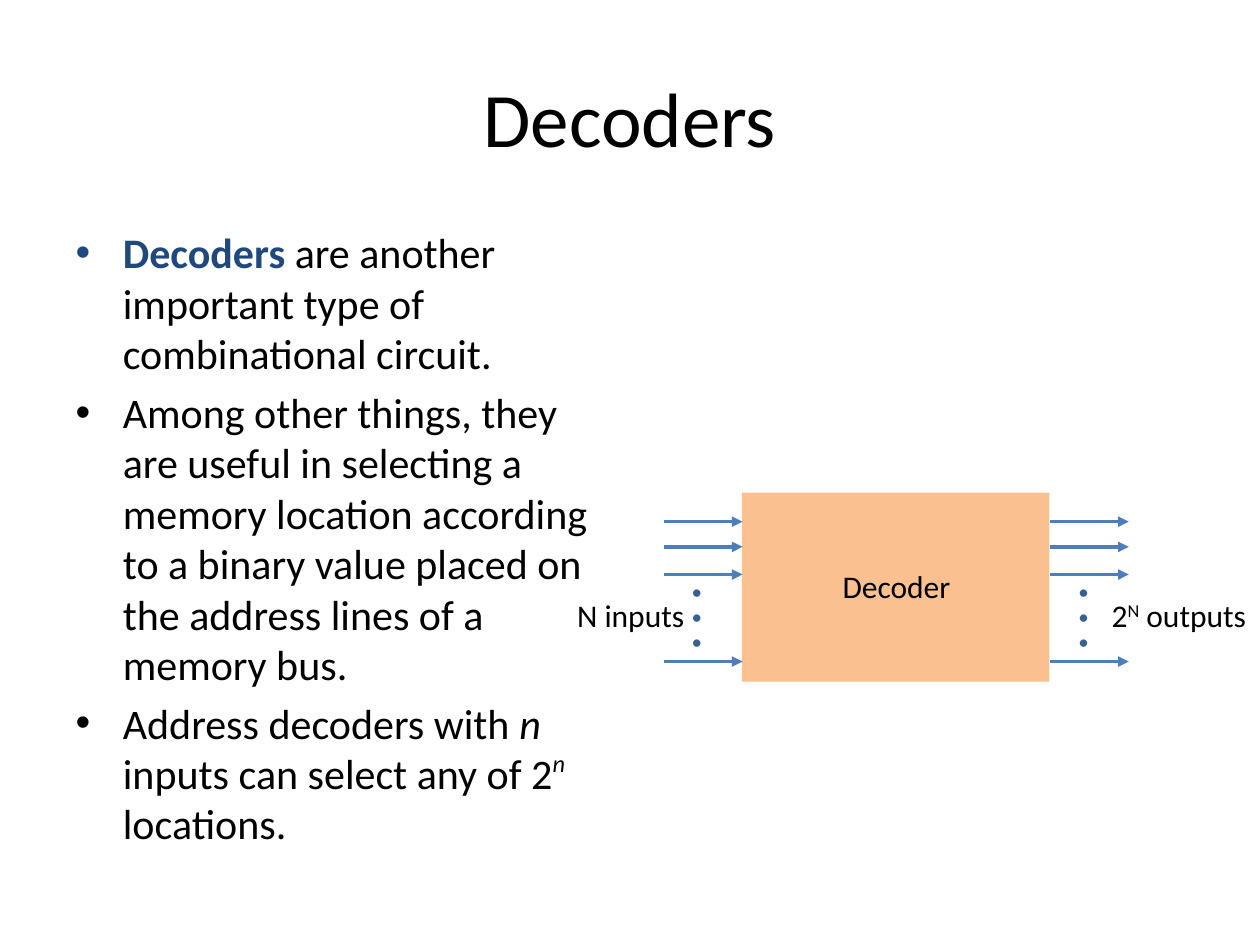
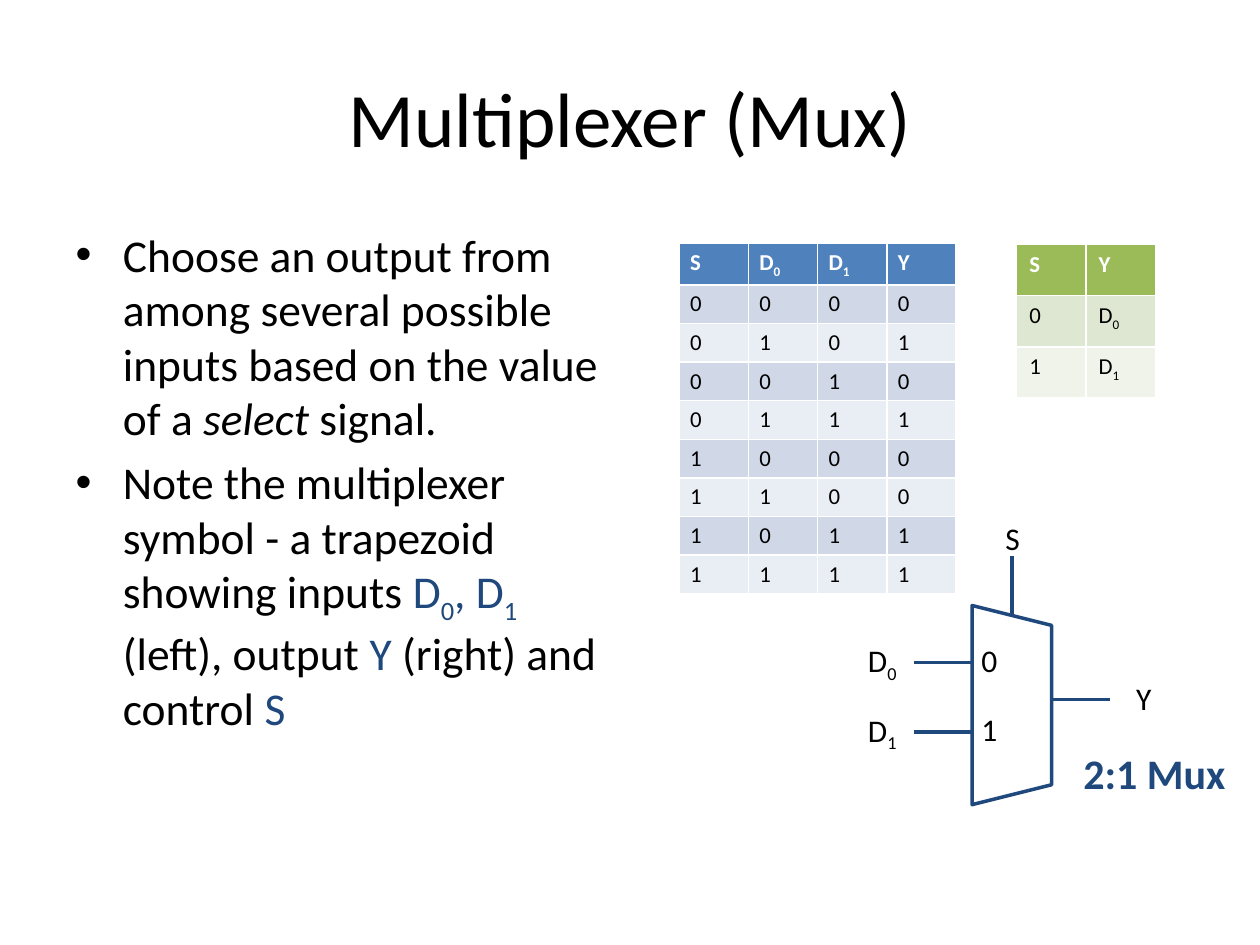
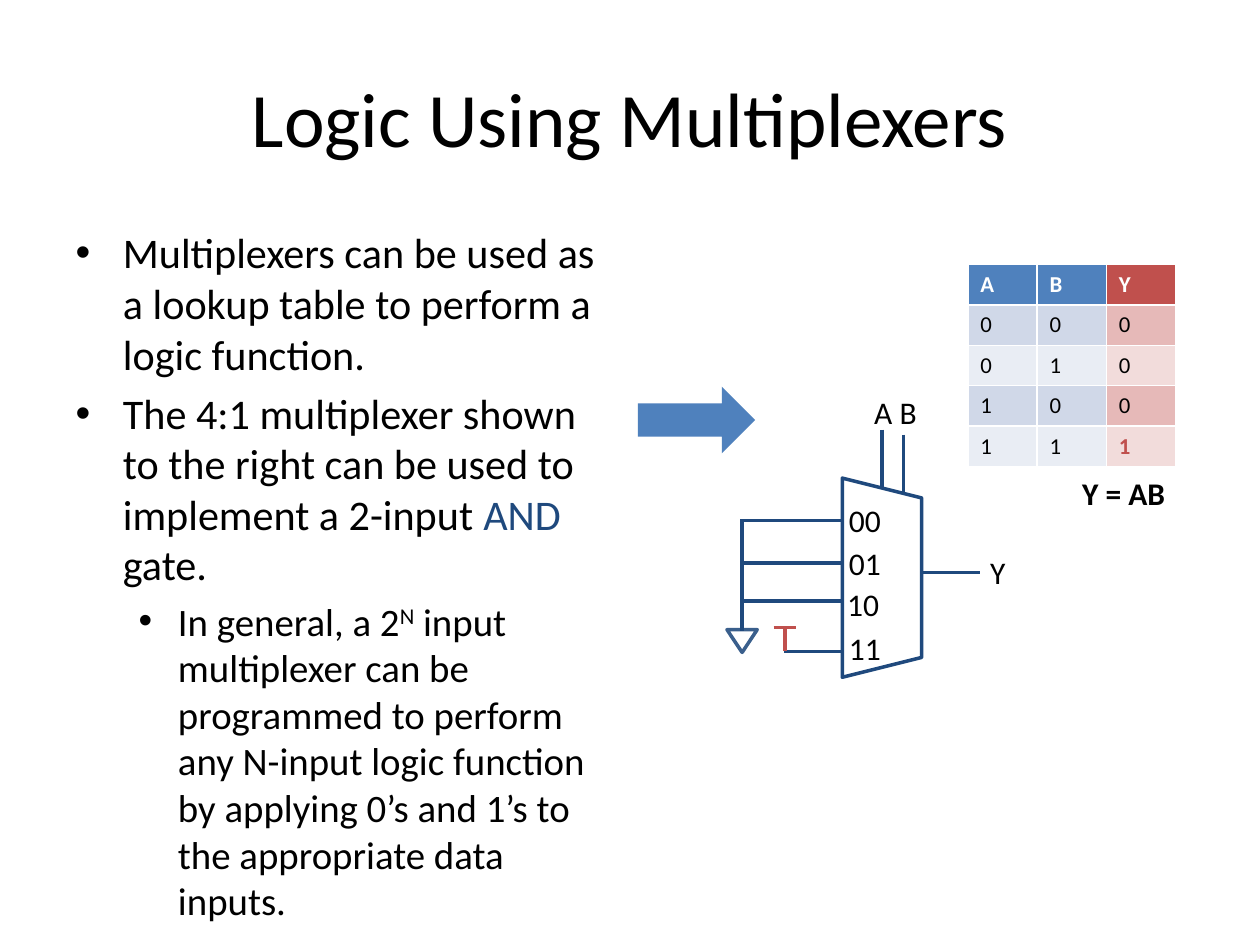
from lxml.etree import SubElement as Sub
from pptx import Presentation
from pptx.dml.color import RGBColor as Rgb
from pptx.enum.shapes import MSO_CONNECTOR as Conn, MSO_SHAPE as Form
from pptx.enum.text import MSO_ANCHOR as Anchor, MSO_AUTO_SIZE as Auto, PP_ALIGN as Align
from pptx.oxml.ns import qn
from pptx.util import Pt

INK = {
    "black": "000000", "white": "FFFFFF", "navy": "1F497D", "blue": "4F81BD",
    "wire": "4B7EBC", "dot": "376092", "peach": "FAC090", "red": "C0504D",
    "edge": "3A5F8C",
}
BANDS = {
    "blue": ("4F81BD", "D0D8E8", "E9EDF4"),
    "green": ("9BBB59", "DEE7D1", "EFF3EA"),
    "red": ("C0504D", "E6B9B8", "F2DCDB"),
}
RAISE = {"v": -25, "^": 30, "+": 40}


def write(para, text, size, tone="black", bold=False):
    bits = text.split("|")
    for words, style in zip(bits[::2], bits[1::2] + [""]):
        if not words:
            continue
        run = para.add_run()
        run.text = words
        font = run.font
        font.name = "Calibri"
        font.size = Pt(size)
        font.bold = bold or "b" in style
        font.italic = "i" in style
        font.color.rgb = Rgb.from_string(INK["navy" if "n" in style else tone])
        for mark in RAISE:
            if mark in style:
                run._r.get_or_add_rPr().set("baseline", str(RAISE[mark] * 1000))


def draw(slide, form, box, fill=None, line=None, turn=0):
    shape = slide.shapes.add_shape(form, *[Pt(v) for v in box])
    shape.shadow.inherit = False
    shape.rotation = turn
    if fill:
        shape.fill.solid()
        shape.fill.fore_color.rgb = Rgb.from_string(INK[fill])
    else:
        shape.fill.background()
    if line:
        shape.line.color.rgb = Rgb.from_string(INK[line])
        shape.line.width = Pt(2)
    else:
        shape.line.fill.background()


deck = Presentation()
deck.slide_width, deck.slide_height = Pt(720), Pt(540)

pages = [
    ("Decoders", [
        (0, 24, "Decoders|bn| are another important type of combinational circuit."),
        (0, 24, "Among other things, they are useful in selecting a memory location "
                "according to a binary value placed on the address lines of a memory bus."),
        (0, 24, "Address decoders with ||n |i|inputs can select any of 2||n |i+|locations."),
    ]),
    ("Multiplexer (Mux)", [
        (0, 26, "Choose an output from among several possible inputs based on the value "
                "of a ||select |i|signal."),
        (0, 26, "Note the multiplexer symbol - a trapezoid showing inputs ||D|n|0|nv|, D|n"
                "|1 |nv|(left), output ||Y|n| (right) and control ||S|n"),
    ]),
    ("Logic Using Multiplexers", [
        (0, 24.1, "Multiplexers can be used as a lookup table to perform a logic function."),
        (0, 24.1, "The 4:1 multiplexer shown to the right can be used to implement a "
                  "2-input ||AND |n|gate."),
        (1, 22.2, "In general, a 2||N|^| input multiplexer can be programmed to perform any "
                  "N-input logic function by applying 0’s and 1’s to the appropriate data inputs."),
    ]),
]

for head, items in pages:
    slide = deck.slides.add_slide(deck.slide_layouts[1])
    title, body = slide.placeholders
    for holder, box in ((title, (36, 21.6, 648, 90)), (body, (36, 126, 318, 356.4))):
        holder.left, holder.top, holder.width, holder.height = [Pt(v) for v in box]
        holder.text_frame.auto_size = Auto.NONE
    title.text_frame.vertical_anchor = Anchor.MIDDLE
    para = title.text_frame.paragraphs[0]
    para.alignment = Align.CENTER
    write(para, head, 44)
    for spot, (level, size, text) in enumerate(items):
        frame = body.text_frame
        para = frame.add_paragraph() if spot else frame.paragraphs[0]
        para.level = level
        Sub(para._p.get_or_add_pPr(), qn("a:buChar")).set("char", "•")
        write(para, text, size)

coder, mux, logic = deck.slides

X, Y = ["0", "1"], ["D||0|v", "D||1|v"]
full = [["S", *Y, "Y"]]
for pick in (0, 1):
    for high in (0, 1):
        for low in (0, 1):
            full.append([str(v) for v in (pick, low, high, high if pick else low)])
brief = [["S", "Y"]] + [list(pair) for pair in zip(X, Y)]
both = [["A", "B", "Y"]] + [[a, b, str(int(a) * int(b))] for a in X for b in X]

tables = [
    (mux, 581, 139.7, 29.3, (7.2, 3.6), ["green"] * 2, brief),
    (mux, 388, 139, 21.8, (6.3, 3.1), ["blue"] * 4, full),
    (logic, 553, 151.2, 22.8, (7.2, 3.6), ["blue", "blue", "red"], both),
]
for slide, left, top, high, (side, edge), tints, rows in tables:
    wide = 39.6
    grid = slide.shapes.add_table(
        len(rows), len(tints), Pt(left), Pt(top),
        Pt(wide * len(tints)), Pt(high * len(rows))).table
    for col in grid.columns:
        col.width = Pt(wide)
    for r, row in enumerate(rows):
        grid.rows[r].height = Pt(high)
        for c, text in enumerate(row):
            cell = grid.cell(r, c)
            cell.margin_left = cell.margin_right = Pt(side)
            cell.margin_top = cell.margin_bottom = Pt(edge)
            cell.fill.solid()
            band = 0 if r == 0 else 2 - r % 2
            cell.fill.fore_color.rgb = Rgb.from_string(BANDS[tints[c]][band])
            key = tints[c] == "red" and text == "1"
            tone = "white" if r == 0 else "red" if key else "black"
            write(cell.text_frame.paragraphs[0], text, 13, tone, r == 0 or key)

draw(coder, Form.RECTANGLE, (424, 281.5, 175.7, 108), fill="peach")
draw(mux, Form.TRAPEZOID, (521.3, 380.2, 113.8, 45.4), line="navy", turn=90)
draw(logic, Form.TRAPEZOID, (447.1, 307.4, 113.8, 45.4), line="navy", turn=90)
draw(logic, Form.ISOSCELES_TRIANGLE, (415.4, 359.8, 17.3, 13), line="edge", turn=180)
draw(logic, Form.RIGHT_ARROW, (364.5, 221, 67, 38), fill="blue")

wires = [
    (coder, "wire", x, y, x + 45, y)
    for x in (379.3, 600) for y in (298.1, 312.5, 328.3, 378)
]
wires += [
    (mux, "navy", 555.1, 378.7, 522, 378.7),
    (mux, "navy", 555.1, 418.3, 522, 418.3),
    (mux, "navy", 634.3, 399.6, 601.2, 399.6),
    (mux, "navy", 578.4, 317.5, 578.4, 350.6),
    (logic, "navy", 559.8, 327.2, 526.8, 327.2),
    (logic, "navy", 504, 245.5, 504, 278.6),
    (logic, "navy", 516.2, 248.4, 516.2, 281.5),
    (logic, "navy", 481, 372.2, 448, 372.2),
    (logic, "navy", 424.1, 296.6, 424.1, 360.7),
    (logic, "red", 448.6, 359.3, 448.6, 372.2),
    (logic, "red", 442.1, 358.6, 455, 358.6),
]
wires += [(logic, "navy", 481, y, 424.1, y) for y in (297.4, 321.8, 343.4)]
for slide, tone, *ends in wires:
    wire = slide.shapes.add_connector(Conn.STRAIGHT, *[Pt(v) for v in ends])
    wire.line.color.rgb = Rgb.from_string(INK[tone])
    wire.line.width = Pt(2)
    if slide is coder:
        Sub(wire.line._get_or_add_ln(), qn("a:tailEnd")).set("type", "triangle")
    Sub(wire._element.spPr, qn("a:effectLst"))

labels = [
    (coder, 438.5, 320.4, 147.6, "Decoder", 18, "black", False),
    (coder, 599.8, 337, 147.6, "2||N|^| outputs", 18, "black", False),
    (coder, 286.6, 337, 147.6, "N inputs", 18, "black", False),
    (coder, 609.1, 326.9, 27.4, "•\n•\n•", 12, "dot", False),
    (coder, 388.1, 326.9, 27.4, "•\n•\n•", 12, "dot", False),
    (mux, 612, 423.4, 96.5, "2:1 Mux", 24, "navy", True),
    (logic, 611.3, 267.1, 94.3, "Y = AB", 18, "black", True),
]
labels += [(slide, x, y, 67.7, text, 18, "black", False) for slide, x, y, text in (
    (mux, 488.9, 362.9, Y[0]), (mux, 488.9, 402.5, Y[1]),
    (mux, 642.2, 384.5, "Y"), (mux, 567.4, 293, "S"),
    (mux, 553.7, 362.9, "0"), (mux, 553.7, 402, "1"),
    (logic, 558.7, 312.5, "Y"), (logic, 492.5, 221, "A B"),
    (logic, 478, 283, "00"), (logic, 478, 307.4, "01"),
    (logic, 477, 330.5, "10"), (logic, 478, 355.7, "11"),
)]
for slide, left, top, wide, text, size, tone, bold in labels:
    lines = text.split("\n")
    high = 7.2 + 1.2 * size * len(lines)
    note = slide.shapes.add_textbox(Pt(left), Pt(top), Pt(wide), Pt(high))
    frame = note.text_frame
    frame.word_wrap = True
    for spot, line in enumerate(lines):
        para = frame.add_paragraph() if spot else frame.paragraphs[0]
        if slide is coder and len(lines) == 1:
            para.alignment = Align.CENTER
        write(para, line, size, tone, bold)

deck.save("out.pptx")
